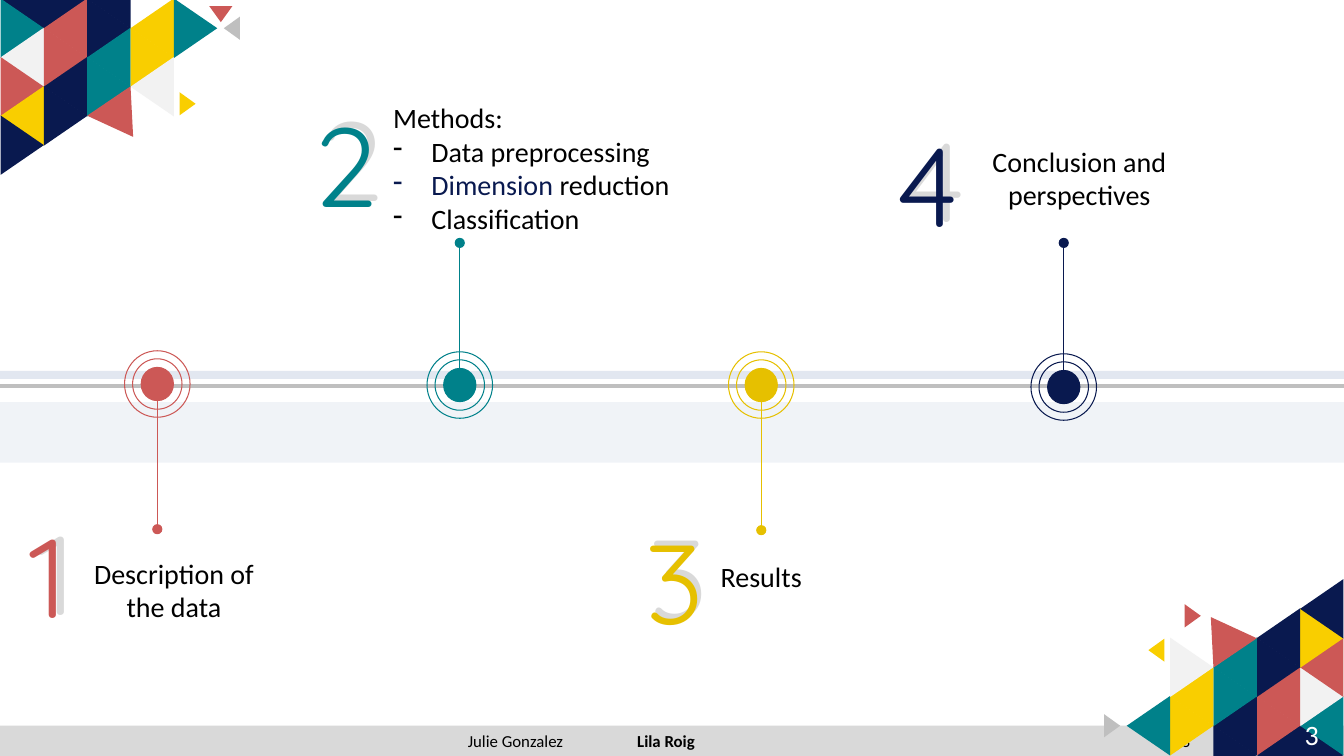
"""Build the agenda slide: a four-step timeline between two triangle mosaics."""
from lxml import etree
from pptx import Presentation
from pptx.dml.color import RGBColor
from pptx.enum import shapes, text
from pptx.oxml import ns
from pptx.util import Inches, Pt

NAVY = RGBColor(0x09, 0x19, 0x4F)
TEAL = RGBColor(0x00, 0x81, 0x8A)
RED = RGBColor(0xCC, 0x58, 0x56)
YELLOW = RGBColor(0xF9, 0xCE, 0x00)
GOLD = RGBColor(0xE6, 0xC0, 0x00)
PALE = RGBColor(0xF2, 0xF2, 0xF2)
SILVER = RGBColor(0xBF, 0xBF, 0xBF)
GREY = RGBColor(0xD9, 0xD9, 0xD9)
BLUE_GREY = RGBColor(0xDB, 0xE1, 0xED)
BLACK = RGBColor(0, 0, 0)
WHITE = RGBColor(0xFF, 0xFF, 0xFF)
WIDTH, HEIGHT = 13.33, 7.5
LEFT, CENTER = text.PP_ALIGN.LEFT, text.PP_ALIGN.CENTER
PRESET = shapes.MSO_SHAPE

presentation = Presentation()
presentation.slide_width = Inches(WIDTH)
presentation.slide_height = Inches(HEIGHT)
slide = presentation.slides.add_slide(presentation.slide_layouts[6])


def add_centered_shape(preset, x, y, width, height, fill=None, line=None, rotation=0):
    shape = slide.shapes.add_shape(preset, Inches(x - width / 2), Inches(y - height / 2),
                                   Inches(width), Inches(height))
    shape.rotation = rotation
    shape.shadow.inherit = False
    if fill is None:
        shape.fill.background()
    else:
        shape.fill.solid()
        shape.fill.fore_color.rgb = fill
    if line is None:
        shape.line.fill.background()
    else:
        shape.line.color.rgb = line
        shape.line.width = Pt(0.75)
    return shape


def write_paragraph(paragraph, runs, size, font="Calibri", align=LEFT):
    paragraph.alignment = align
    for words, color, bold in runs:
        run = paragraph.add_run()
        run.text = words
        run.font.name = font
        run.font.size = Pt(size)
        run.font.color.rgb = color
        run.font.bold = bold


# Footer
footer = add_centered_shape(PRESET.RECTANGLE, WIDTH / 2, 7.35, WIDTH, 0.3, GREY)
frame = footer.text_frame
frame.margin_left = frame.margin_right = frame.margin_top = frame.margin_bottom = 0
frame.vertical_anchor = text.MSO_ANCHOR.MIDDLE
write_paragraph(frame.paragraphs[0], [("\tJulie Gonzalez", BLACK, False), ("\tLila Roig", BLACK, True),
                                      ("\t3", BLACK, False)], 12)
tab_list = etree.SubElement(frame.paragraphs[0]._p.get_or_add_pPr(), ns.qn("a:tabLst"))
for stop in (4.64, 6.32, 11.72):
    etree.SubElement(tab_list, ns.qn("a:tab"), pos=str(Inches(stop)), algn="l")

# Timeline bands and axis
for y, height, opacity in ((3.72, 0.08, 80), (4.29, 0.6, 40)):
    band = add_centered_shape(PRESET.RECTANGLE, WIDTH / 2, y, WIDTH, height, BLUE_GREY)
    band_color = band.fill._xPr.find(".//" + ns.qn("a:srgbClr"))
    etree.SubElement(band_color, ns.qn("a:alpha"), val=str(opacity * 1000))

markers = [(1.56, 3.81, 5.25, RED), (4.56, 3.82, 2.41, TEAL),
           (7.55, 3.82, 5.26, GOLD), (10.55, 3.84, 2.41, NAVY)]
lines = [(0, 3.83, WIDTH, 3.83, SILVER, 2.25)]
for x, y, dot_y, color in markers:
    edge_y = y + 0.17 if dot_y > y else y - 0.17
    lines.append((x, edge_y, x, dot_y, color, 0.5))
for x1, y1, x2, y2, color, weight in lines:
    connector = slide.shapes.add_connector(shapes.MSO_CONNECTOR.STRAIGHT, Inches(x1), Inches(y1),
                                           Inches(x2), Inches(y2))
    connector.line.color.rgb = color
    connector.line.width = Pt(weight)
    etree.SubElement(connector._element.spPr, ns.qn("a:effectLst"))
for x, y, dot_y, color in markers:
    for width, height, fill in ((0.65, 0.66, None), (0.49, 0.5, None), (0.32, 0.33, color)):
        add_centered_shape(PRESET.OVAL, x, y, width, height, fill, color)
    add_centered_shape(PRESET.OVAL, x, dot_y, 0.09, 0.09, color, color)

# Corner mosaics, the second one turned half a circle
mosaic_columns = [
    [NAVY, TEAL, PALE, RED, YELLOW, NAVY],
    [NAVY, RED, RED, NAVY, NAVY],
    [NAVY, NAVY, TEAL, TEAL],
    [None, YELLOW, YELLOW, PALE],
    [None, TEAL],
]
triangles = [(0.22 + 0.43 * column, -0.01 + 0.29 * row, 0.59, 0.43,
              90 if (row + column) % 2 else 270, color)
             for column, colors in enumerate(mosaic_columns)
             for row, color in enumerate(colors) if color is not None]
triangles += [(1.2, 1.18, 0.52, 0.43, 145.9, RED),
              (2.3, 0.28, 0.23, 0.16, 270, SILVER),
              (1.86, 1.03, 0.23, 0.16, 90, YELLOW)]
for x, y, width, height, rotation, color in triangles:
    add_centered_shape(PRESET.ISOSCELES_TRIANGLE, x, y, width, height, color, rotation=rotation)
    add_centered_shape(PRESET.ISOSCELES_TRIANGLE, WIDTH - x, 7.48 - y, width, height, color,
                       rotation=(rotation + 180) % 360)
for x, y, rotation in ((2.19, 0.14, 180), (11.83, 6.11, 90)):
    add_centered_shape(PRESET.ISOSCELES_TRIANGLE, x, y, 0.23, 0.16, RED, rotation=rotation)

# Step numbers with their grey echo, step names and page number
labels = []
for digit, x, y, echo_x, echo_y, width, height, color in (
        ("1", 0.19, 4.98, 0.27, 4.95, 1.14, 1.7, RED),
        ("2", 3.01, 0.9, 3.07, 0.84, 0.99, 1.7, TEAL),
        ("3", 6.3, 5.04, 6.34, 4.99, 0.61, 1.45, GOLD),
        ("4", 8.79, 1.1, 8.86, 1.05, 0.61, 1.7, NAVY)):
    labels.append((echo_x, echo_y, width, height, [[(digit, GREY, False)]], 80, "Quicksand", LEFT))
    labels.append((x, y, width, height, [[(digit, color, False)]], 80, "Quicksand", LEFT))
methods = [
    [("Methods:", BLACK, False)],
    [("Data preprocessing", BLACK, False)],
    [("Dimension ", NAVY, False), ("reduction", BLACK, False)],
    [("Classification", BLACK, False)],
]
labels += [
    (0.82, 5.47, 1.81, 0.77, [[("Description of the data", BLACK, False)]], 20, "Calibri", CENTER),
    (3.8, 0.95, 4.71, 1.45, methods, 20, "Calibri", LEFT),
    (6.88, 5.5, 1.34, 0.44, [[("Results", BLACK, False)]], 20, "Calibri", CENTER),
    (9.11, 1.38, 3.19, 0.77, [[("Conclusion and perspectives", BLACK, False)]], 20, "Calibri", CENTER),
    (12.68, 7.07, 0.66, 0.43, [[("3", WHITE, False)]], 20, "Calibri", CENTER),
]
for x, y, width, height, paragraphs, size, font, align in labels:
    box = slide.shapes.add_textbox(Inches(x), Inches(y), Inches(width), Inches(height))
    frame = box.text_frame
    frame.word_wrap = True
    for index, runs in enumerate(paragraphs):
        paragraph = frame.add_paragraph() if index else frame.paragraphs[0]
        write_paragraph(paragraph, runs, size, font, align)
        if index:
            properties = paragraph._p.get_or_add_pPr()
            properties.set("marL", str(Inches(0.38)))
            properties.set("indent", str(-Inches(0.38)))
            etree.SubElement(properties, ns.qn("a:buChar"), char="-")

presentation.save("out.pptx")
